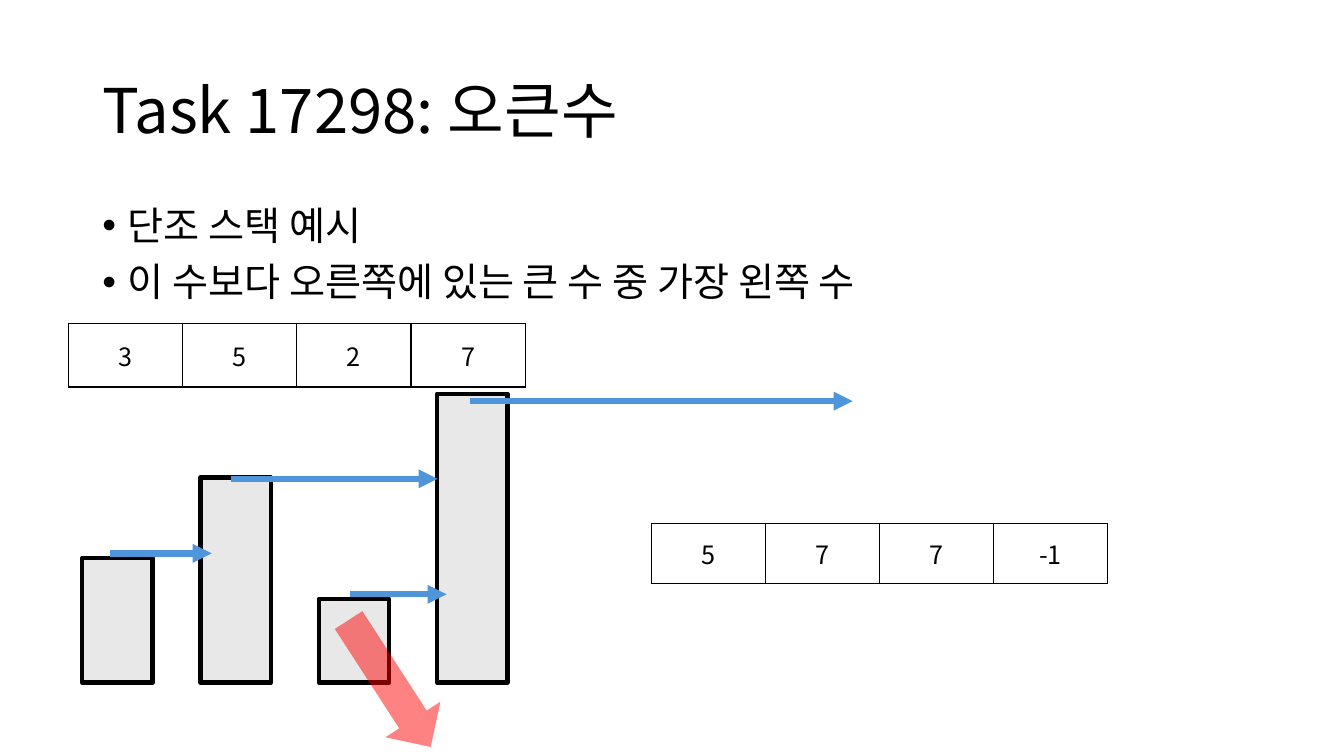
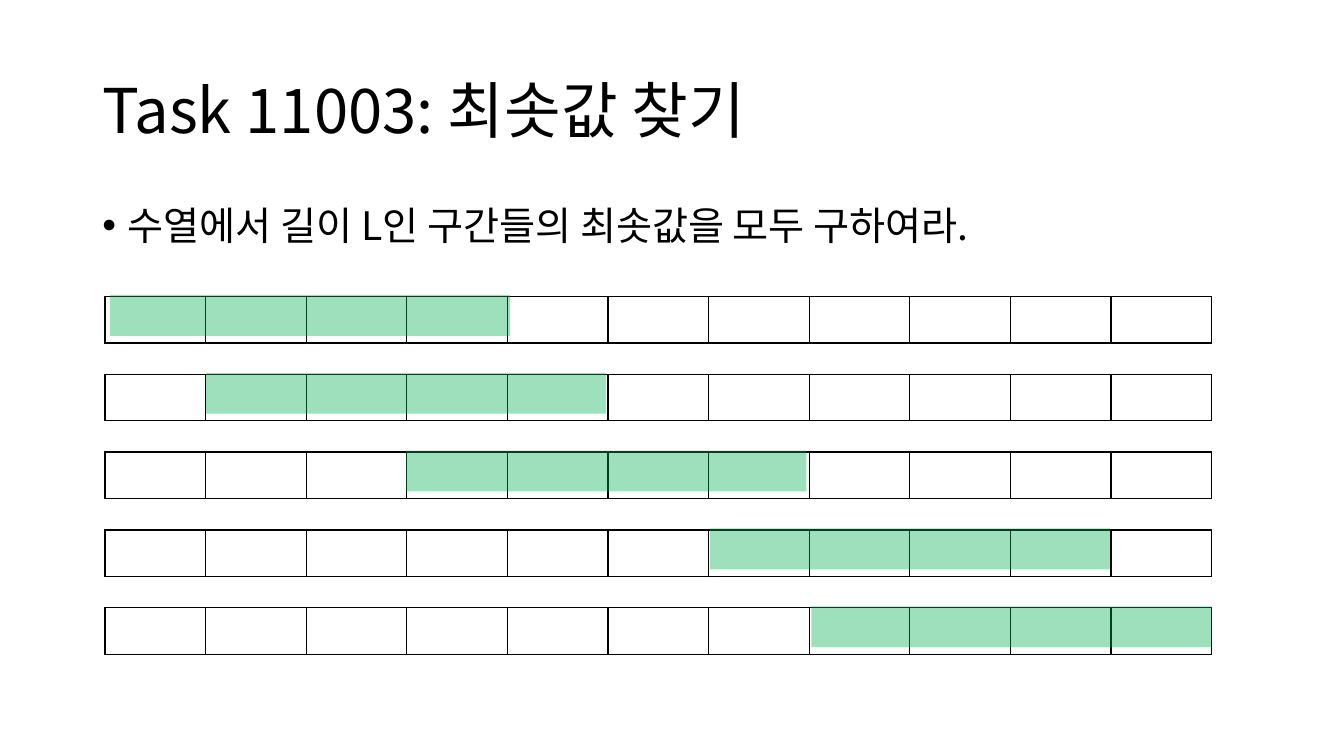
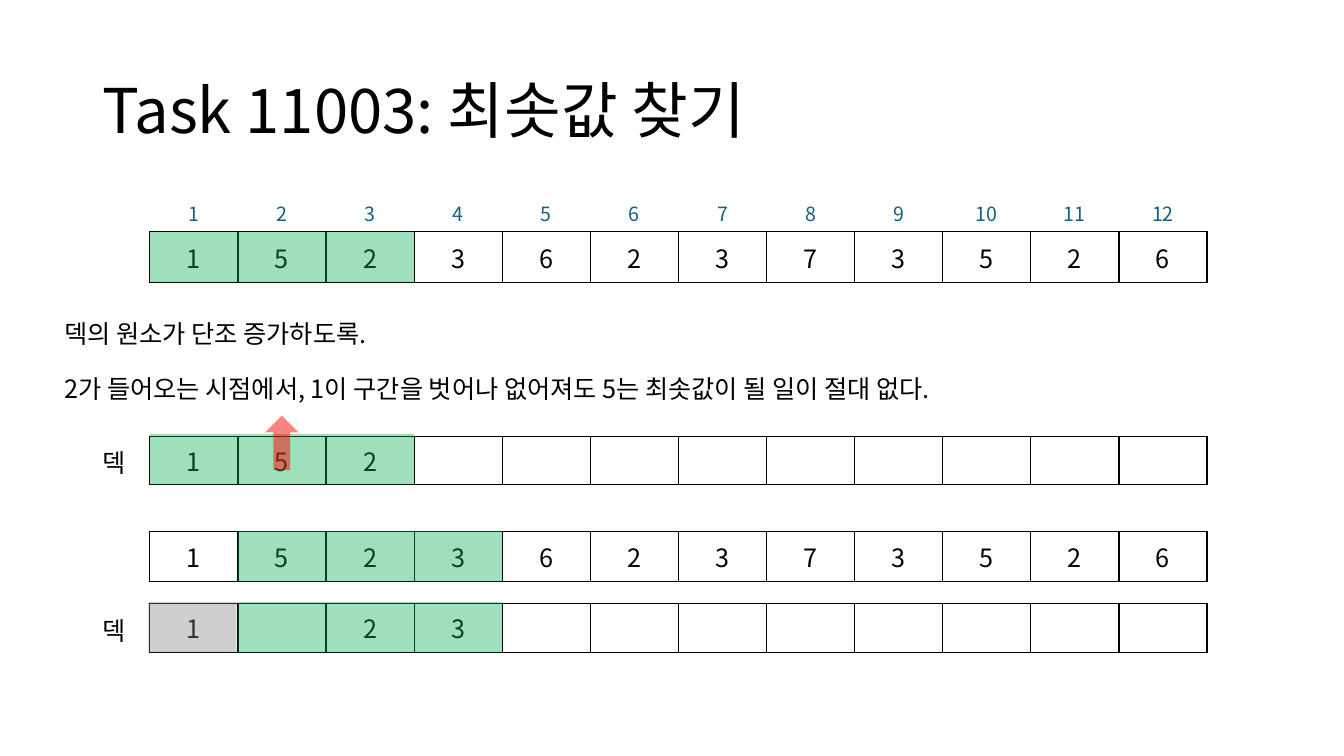
from lxml import etree
from pptx import Presentation
from pptx.chart.data import CategoryChartData
from pptx.dml.color import RGBColor
from pptx.enum.chart import XL_CHART_TYPE
from pptx.enum.shapes import MSO_CONNECTOR, MSO_SHAPE
from pptx.enum.text import MSO_ANCHOR, MSO_AUTO_SIZE, PP_ALIGN
from pptx.oxml import parse_xml
from pptx.oxml.ns import nsdecls, qn
from pptx.util import Pt

COLUMN = XL_CHART_TYPE.COLUMN_CLUSTERED
STRAIGHT = MSO_CONNECTOR.STRAIGHT
RECT, UP_ARROW = MSO_SHAPE.RECTANGLE, MSO_SHAPE.UP_ARROW
TOP, MIDDLE, BOTTOM = MSO_ANCHOR.TOP, MSO_ANCHOR.MIDDLE, MSO_ANCHOR.BOTTOM
LEFT, CENTER = PP_ALIGN.LEFT, PP_ALIGN.CENTER

FONT = "Noto Sans CJK KR"
BLACK = RGBColor(0x00, 0x00, 0x00)
WHITE = RGBColor(0xFF, 0xFF, 0xFF)
BAR = RGBColor(0xE8, 0xE8, 0xE8)
BLUE = RGBColor(0x4E, 0x95, 0xD9)
TEAL = RGBColor(0x15, 0x60, 0x82)
GREEN = RGBColor(0x00, 0xB0, 0x50)
GRAY = RGBColor(0x80, 0x80, 0x80)
RED = RGBColor(0xFF, 0x00, 0x00)

TITLE_BOX = (66, 28.8, 828, 104.4)
BODY_BOX = (66, 144, 828, 342.7)
NO_GRID_STYLE = "{2D5ABB26-0587-4C30-8999-92F81FD0307C}"
TITLE_ONLY, TITLE_AND_BODY = 5, 1
SEQUENCE = "1 5 2 3 6 2 3 7 3 5 2 6".split()


def pts(*values):
    return [Pt(v) for v in values]


def add_run(p, text, size, color=BLACK):
    r = p.add_run()
    r.text = text
    r.font.size = Pt(size)
    r.font.name = FONT
    r.font.color.rgb = color
    etree.SubElement(r.font._element, qn("a:ea"), typeface=FONT)


def fill_placeholder(shape, box, lines, size, anchor):
    shape.left, shape.top, shape.width, shape.height = pts(*box)
    tf = shape.text_frame
    tf.auto_size = MSO_AUTO_SIZE.NONE
    tf.vertical_anchor = anchor
    for i, line in enumerate(lines):
        p = tf.add_paragraph() if i else tf.paragraphs[0]
        p.alignment = LEFT
        p.line_spacing = 0.9
        add_run(p, line, size)
    return tf


def add_slide(prs, title, bullets=()):
    layout = TITLE_AND_BODY if bullets else TITLE_ONLY
    s = prs.slides.add_slide(prs.slide_layouts[layout])
    fill_placeholder(s.shapes.title, TITLE_BOX, [title], 44, MIDDLE)
    if bullets:
        tf = fill_placeholder(s.placeholders[1], BODY_BOX, bullets, 28, TOP)
        for p in tf.paragraphs:
            p.space_before = Pt(10)
            pPr = p._p.get_or_add_pPr()
            pPr.set("marL", str(Pt(18)))
            pPr.set("indent", str(Pt(-18)))
    return s


def add_borders(cell):
    tcPr = cell._tc.get_or_add_tcPr()
    for side in ("lnL", "lnR", "lnT", "lnB"):
        tcPr.append(parse_xml(
            f'<a:{side} {nsdecls("a")} w="{Pt(1)}"><a:solidFill>'
            f'<a:srgbClr val="{BLACK}"/></a:solidFill></a:{side}>'))


def add_array(s, box, values, size=18, color=BLACK, anchor=MIDDLE, grid=True):
    """Draw a one-row table; an empty value leaves its cell blank."""
    frame = s.shapes.add_table(1, len(values), *pts(*box))
    table = frame.table
    table.first_row = table.horz_banding = False
    table._tbl.tblPr.find(qn("a:tableStyleId")).text = NO_GRID_STYLE
    for column, cell, value in zip(table.columns, table.iter_cells(), values):
        column.width = Pt(box[2] / len(values))
        cell.vertical_anchor = anchor
        if grid:
            add_borders(cell)
            cell.fill.solid()
            cell.fill.fore_color.rgb = WHITE
        p = cell.text_frame.paragraphs[0]
        p.alignment = CENTER
        if value:
            add_run(p, value, size, color)
        else:
            p._p.append(parse_xml(
                f'<a:endParaRPr {nsdecls("a")} sz="{size * 100}">'
                f'<a:latin typeface="{FONT}"/><a:ea typeface="{FONT}"/>'
                f'</a:endParaRPr>'))


def add_overlay(s, box, color, kind=RECT, opacity=38, rotation=0):
    shape = s.shapes.add_shape(kind, *pts(*box))
    shape.shadow.inherit = False
    shape.rotation = rotation
    shape.line.fill.background()
    shape.fill.solid()
    shape.fill.fore_color.rgb = color
    rgb = shape._element.spPr.find(".//" + qn("a:srgbClr"))
    etree.SubElement(rgb, qn("a:alpha"), val=str(opacity * 1000))


def add_arrow(s, x1, x2, y):
    line = s.shapes.add_connector(STRAIGHT, *pts(x1, y, x2, y))
    line.line.color.rgb = BLUE
    line.line.width = Pt(4.5)
    etree.SubElement(line.line._get_or_add_ln(), qn("a:tailEnd"), type="triangle")
    etree.SubElement(line._element.spPr, qn("a:effectLst"))


def add_text(s, box, lines, wrap=True):
    tf = s.shapes.add_textbox(*pts(*box)).text_frame
    tf.word_wrap = wrap
    for i, line in enumerate(lines):
        p = tf.add_paragraph() if i else tf.paragraphs[0]
        if i:
            p.space_before = Pt(17.5)
        add_run(p, line, 18)


def add_bars(s, box, values):
    data = CategoryChartData()
    data.categories = [str(i + 1) for i in range(len(values))]
    data.add_series("Series 1", values)
    chart = s.shapes.add_chart(COLUMN, *pts(*box), data).chart
    chart.has_legend = chart.has_title = False
    chart.font.name, chart.font.size = FONT, Pt(10)
    chart.font.color.rgb = BLACK
    axis = chart.value_axis
    axis.minimum_scale, axis.maximum_scale = 0, 110
    axis.has_major_gridlines = False
    axis.visible = chart.category_axis.visible = False
    plot = chart.plots[0]
    plot.gap_width = 68
    plot.vary_by_categories = False
    bars = plot.series[0].format
    bars.fill.solid()
    bars.fill.fore_color.rgb = BAR
    bars.line.color.rgb = BLACK
    bars.line.width = Pt(3)
    area = chart._chartSpace.chart.plotArea
    old = area.find(qn("c:layout"))
    if old is not None:
        area.remove(old)
    area.insert(0, parse_xml(
        f'<c:layout {nsdecls("c")}><c:manualLayout>'
        '<c:layoutTarget val="inner"/><c:xMode val="edge"/><c:yMode val="edge"/>'
        '<c:x val="0.02"/><c:y val="0.05"/><c:w val="0.96"/><c:h val="0.93"/>'
        '</c:manualLayout></c:layout>'))


def add_deque(s, box, values):
    """Draw a labelled array, padded with blanks to the sequence length."""
    x, y, _, _ = box
    add_array(s, box, values + [""] * (len(SEQUENCE) - len(values)))
    add_text(s, (x - 41, y + 4.5, 32.4, 28.8), ["덱"], wrap=False)


def next_greater_slide(prs):
    s = add_slide(prs, "Task 17298: 오큰수",
                  ["단조 스택 예시", "이 수보다 오른쪽에 있는 큰 수 중 가장 왼쪽 수"])
    add_bars(s, (34.6, 248.4, 352.1, 244.1), (43, 71, 29, 100))
    add_array(s, (49, 231, 326.2, 45.4), ["3", "5", "2", "7"])
    add_array(s, (465.1, 374.1, 326.2, 42.5), ["5", "7", "7", "-1"])
    for x1, x2, y in ((335.5, 609, 286.5), (250, 319, 424.5),
                      (165, 312.5, 342), (78.5, 151.2, 395.3)):
        add_arrow(s, x1, x2, y)
    add_overlay(s, (254.9, 434.2, 46.8, 108), RED, UP_ARROW, 49, 147.1)


def windows_slide(prs):
    s = add_slide(prs, "Task 11003: 최솟값 찾기",
                  ["수열에서 길이 L인 구간들의 최솟값을 모두 구하여라."])
    x, y, width, height, pitch = 75, 211.7, 790.6, 29.2, 55.6
    window_lefts = (78.5, 147, 290, 507, 579.5)
    for i in range(len(window_lefts)):
        add_array(s, (x, y + i * pitch, width, height), [""] * 11)
    for i, left in enumerate(window_lefts):
        add_overlay(s, (left, y + i * pitch - 1, 286, height), GREEN)


def deque_slide(prs):
    s = add_slide(prs, "Task 11003: 최솟값 찾기")
    x, width, height = 107, 755.3, 36
    step = width / len(SEQUENCE)
    window = 3 * step

    add_array(s, (x, 165.6, width, height), SEQUENCE)
    add_overlay(s, (x, 165.6, window, height), GREEN)
    indices = [str(i + 1) for i in range(len(SEQUENCE))]
    add_array(s, (x, 130, width, height), indices, 14, TEAL, BOTTOM, grid=False)

    add_text(s, (38.9, 223.9, 868.3, 72.7),
             ["덱의 원소가 단조 증가하도록.",
              "2가 들어오는 시점에서, 1이 구간을 벗어나 없어져도 5는 최솟값이 될 일이 절대 없다."])
    add_deque(s, (x, 311.5, width, 34.6), ["1", "5", "2"])
    add_overlay(s, (x, 310, window, height), GREEN)
    add_overlay(s, (189.4, 296.9, 23.8, 38.9), RED, UP_ARROW, 49)

    add_array(s, (x, 379.4, width, height), SEQUENCE)
    add_overlay(s, (x + step, 379.4, window, height), GREEN)
    add_deque(s, (x, 431.2, width, 34.6), ["1", "", "2", "3"])
    add_overlay(s, (x - 1, 430, step, height), GRAY)
    add_overlay(s, (x + step, 430, window, height), GREEN)


def main():
    prs = Presentation()
    prs.slide_width, prs.slide_height = pts(960, 540)
    next_greater_slide(prs)
    windows_slide(prs)
    deque_slide(prs)
    prs.save("out.pptx")


if __name__ == "__main__":
    main()
